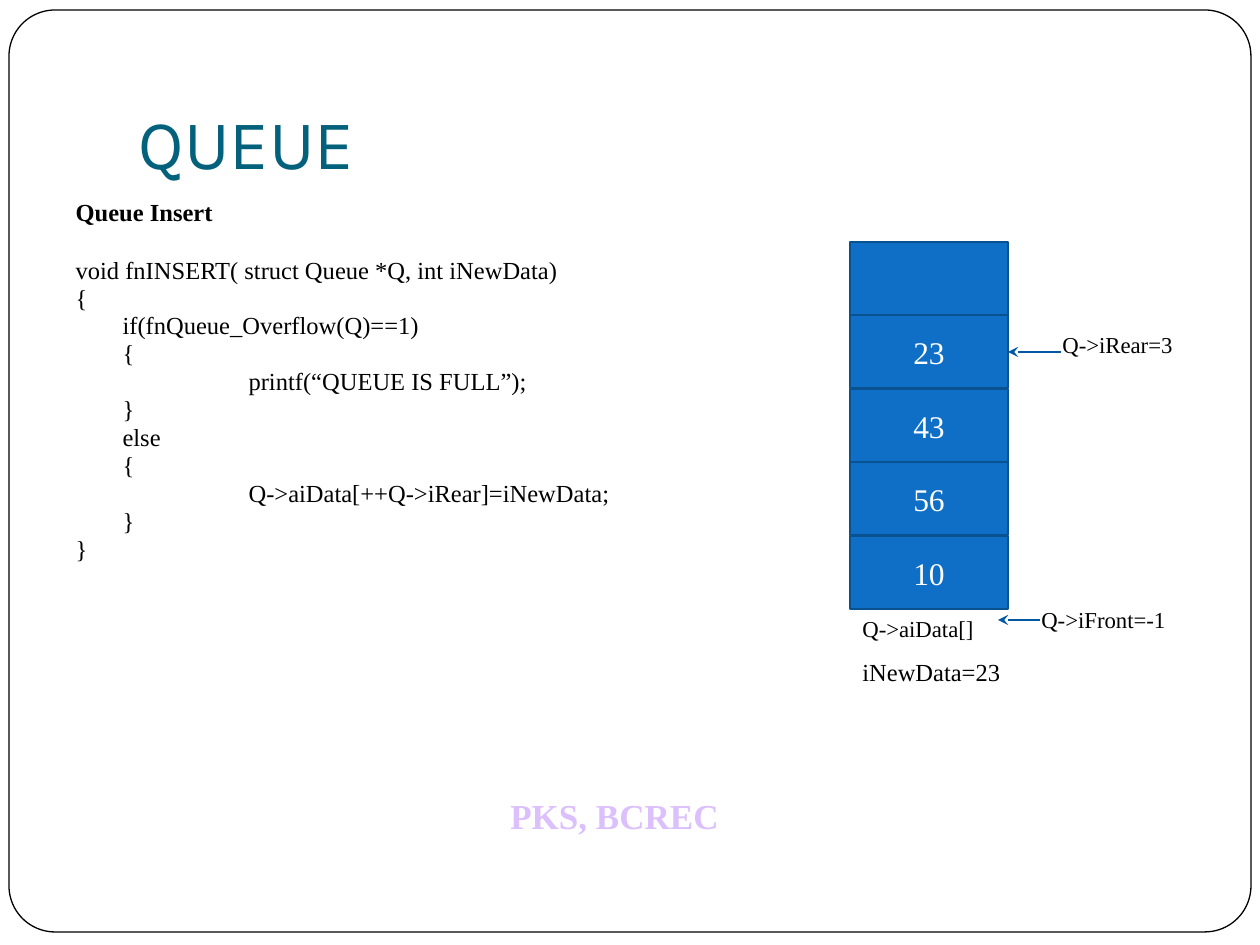
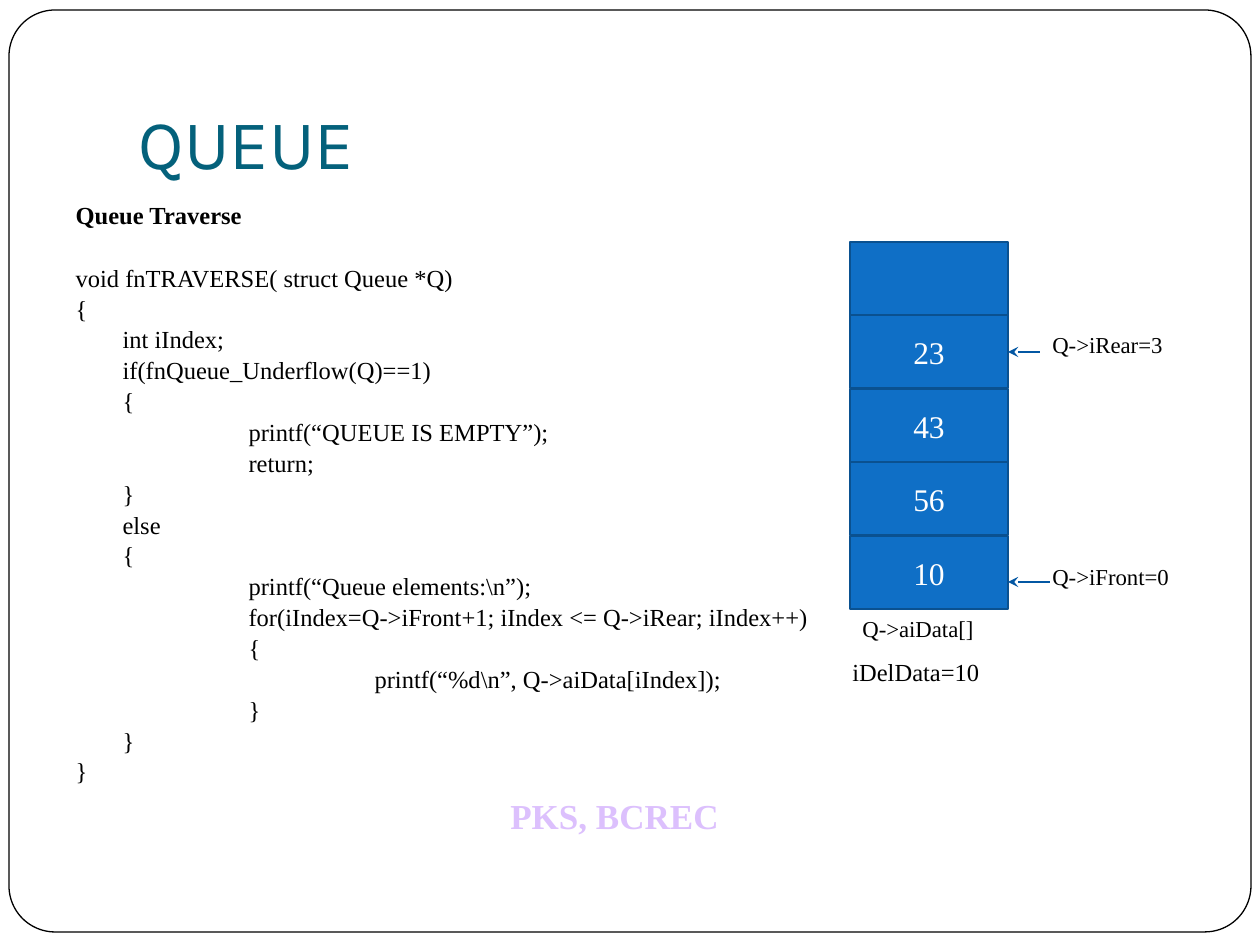
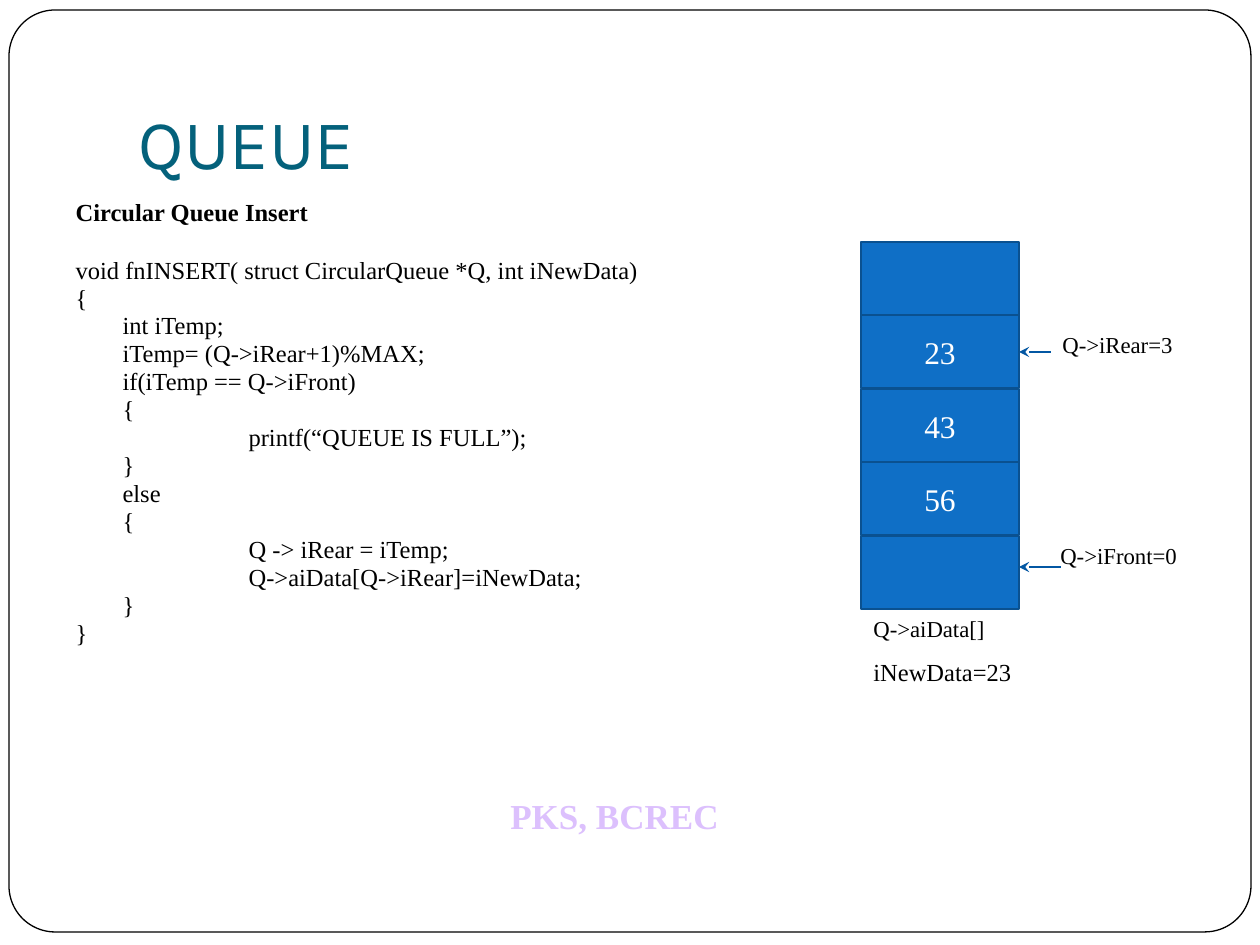
from dataclasses import dataclass

from lxml.etree import SubElement
from pptx import Presentation
from pptx.dml.color import RGBColor
from pptx.enum.shapes import MSO_CONNECTOR, MSO_SHAPE
from pptx.enum.text import MSO_ANCHOR, MSO_AUTO_SIZE, PP_ALIGN
from pptx.oxml.ns import qn
from pptx.util import Emu, Inches, Pt

PX_PER_INCH = 126
SERIF = "Times New Roman"
TITLE_FONT = "Karla"
BLACK = "000000"
WHITE = "FFFFFF"
TITLE_COLOR = "04617B"
FOOTER_COLOR = "DCC0FD"
CELL_FILL = "0F6FC6"
CELL_LINE = "0A5190"
ARROW_COLOR = "0357A3"

FRAME_BOX = (9, 10, 1242, 922)
TITLE_BOX = (126, 38, 1071, 158)
FOOTER_BOX = (498, 788, 290, 55)
COLUMN_TOP, COLUMN_WIDTH, COLUMN_HEIGHT = 242, 158, 367
FIRST_INDENT, NEXT_INDENT = 47, 126


@dataclass
class Pointer:
    text: str
    label: tuple
    tip: tuple
    length: int


@dataclass
class QueueSlide:
    heading: str
    code: list
    line_spacing: float
    code_box: tuple
    column_left: int
    cells: list
    data_text: str
    data_offset: int
    pointers: list


QUEUE_SLIDES = [
    QueueSlide(
        "Queue Insert",
        [
            (0, "void fnINSERT( struct Queue *Q, int iNewData)"),
            (0, "{"),
            (1, "if(fnQueue_Overflow(Q)==1)"),
            (1, "{"),
            (2, "printf(“QUEUE IS FULL”);"),
            (1, "}"),
            (1, "else"),
            (1, "{"),
            (2, "Q->aiData[++Q->iRear]=iNewData;"),
            (1, "}"),
            (0, "}"),
        ],
        0.7, (63, 199, 1113, 630), 850, ["", "23", "43", "56", "10"],
        "iNewData=23", 0,
        [
            Pointer("Q->iRear=3", (200, 83), (158, 110), 53),
            Pointer("Q->iFront=-1", (179, 358), (148, 378), 42),
        ],
    ),
    QueueSlide(
        "Queue Traverse",
        [
            (0, "void fnTRAVERSE( struct Queue *Q)"),
            (0, "{"),
            (1, "int iIndex;"),
            (1, "if(fnQueue_Underflow(Q)==1)"),
            (1, "{"),
            (2, "printf(“QUEUE IS EMPTY”);"),
            (2, "return;"),
            (1, "}"),
            (1, "else"),
            (1, "{"),
            (2, r"printf(“Queue elements:\n”);"),
            (2, "for(iIndex=Q->iFront+1; iIndex <= Q->iRear; iIndex++)"),
            (2, "{"),
            (3, r"printf(“%d\n”, Q->aiData[iIndex]);"),
            (2, "}"),
            (1, "}"),
            (0, "}"),
        ],
        0.8, (63, 199, 1113, 630), 850, ["", "23", "43", "56", "10"],
        "iDelData=10", -10,
        [
            Pointer("Q->iRear=3", (190, 83), (158, 110), 32),
            Pointer("Q->iFront=0", (190, 315), (158, 340), 42),
        ],
    ),
    QueueSlide(
        "Circular Queue Insert",
        [
            (0, "void fnINSERT( struct CircularQueue *Q, int iNewData)"),
            (0, "{"),
            (1, "int iTemp;"),
            (1, "iTemp= (Q->iRear+1)%MAX;"),
            (1, "if(iTemp == Q->iFront)"),
            (1, "{"),
            (2, "printf(“QUEUE IS FULL”);"),
            (1, "}"),
            (1, "else"),
            (1, "{"),
            (2, "Q -> iRear = iTemp;"),
            (2, "Q->aiData[Q->iRear]=iNewData;"),
            (1, "}"),
            (0, "}"),
        ],
        0.7, (63, 199, 798, 746), 861, ["", "23", "43", "56", ""],
        "iNewData=23", 0,
        [
            Pointer("Q->iRear=3", (189, 83), (158, 110), 32),
            Pointer("Q->iFront=0", (187, 294), (158, 325), 42),
        ],
    ),
]


def px(length):
    return Emu(round(length * 914400 / PX_PER_INCH))


def color(value):
    return RGBColor.from_string(value)


def place(shape, box):
    shape.left, shape.top, shape.width, shape.height = map(px, box)


def style_font(paragraph, size, value, name=SERIF, bold=False):
    font = paragraph.font
    font.name, font.size, font.bold = name, Pt(size), bold
    font.color.rgb = color(value)


def add_box(slide, kind, box, fill, line, line_width):
    shape = slide.shapes.add_shape(kind, *map(px, box))
    shape.shadow.inherit = False
    shape.fill.solid()
    shape.fill.fore_color.rgb = color(fill)
    shape.line.color.rgb = color(line)
    shape.line.width = Pt(line_width)
    return shape


def add_label(slide, text, box, size, value=BLACK, bold=False):
    label = slide.shapes.add_textbox(*map(px, box))
    label.text_frame.word_wrap = True
    paragraph = label.text_frame.paragraphs[0]
    paragraph.text = text
    style_font(paragraph, size, value, bold=bold)


def add_arrow(slide, start, end):
    arrow = slide.shapes.add_connector(MSO_CONNECTOR.STRAIGHT, *map(px, start + end))
    arrow.line.color.rgb = color(ARROW_COLOR)
    arrow.line.width = Pt(0.75)
    SubElement(arrow.line._get_or_add_ln(), qn("a:tailEnd"), type="stealth")
    SubElement(arrow._element.spPr, qn("a:effectLst"))


def add_frame_and_footer(slide):
    frame = add_box(slide, MSO_SHAPE.ROUNDED_RECTANGLE, FRAME_BOX, WHITE, BLACK, 0.75)
    frame.adjustments[0] = 0.05
    slide.shapes._spTree.insert(2, frame._element)
    add_label(slide, "PKS, BCREC", FOOTER_BOX, 20, FOOTER_COLOR, bold=True)


def fill_title(title):
    place(title, TITLE_BOX)
    text_frame = title.text_frame
    text_frame.text = "QUEUE"
    text_frame.auto_size = MSO_AUTO_SIZE.NONE
    text_frame.vertical_anchor = MSO_ANCHOR.BOTTOM
    text_frame.margin_bottom = Inches(0.1)
    paragraph = text_frame.paragraphs[0]
    paragraph.alignment = PP_ALIGN.LEFT
    style_font(paragraph, 40, TITLE_COLOR, TITLE_FONT)


def fill_code(body, content):
    place(body, content.code_box)
    text_frame = body.text_frame
    text_frame.auto_size = MSO_AUTO_SIZE.NONE
    lines = [(0, content.heading)] + content.code
    text_frame.text = "\n".join(text for _, text in lines)
    heading_gap = 16 * content.line_spacing + 9.8
    for index, (depth, _) in enumerate(lines):
        paragraph = text_frame.paragraphs[index]
        style_font(paragraph, 14, BLACK, bold=index == 0)
        paragraph.line_spacing = content.line_spacing
        paragraph.space_before = Pt({0: 0, 1: heading_gap}.get(index, 4.2))
        indent = FIRST_INDENT + NEXT_INDENT * (depth - 1) if depth else 0
        properties = paragraph._p.get_or_add_pPr()
        properties.set("marL", str(px(indent)))
        properties.set("indent", "0")
        properties.insert_element_before(
            properties.makeelement(qn("a:buNone")), "a:tabLst", "a:defRPr", "a:extLst"
        )


def add_queue(slide, content):
    left, top = content.column_left, COLUMN_TOP
    cell_height = COLUMN_HEIGHT / len(content.cells)
    for index, value in enumerate(content.cells):
        box = (left, top + round(index * cell_height), COLUMN_WIDTH, round(cell_height))
        cell = add_box(slide, MSO_SHAPE.RECTANGLE, box, CELL_FILL, CELL_LINE, 1)
        if value:
            cell.text_frame.text = value
            cell.text_frame.vertical_anchor = MSO_ANCHOR.MIDDLE
            paragraph = cell.text_frame.paragraphs[0]
            paragraph.alignment = PP_ALIGN.CENTER
            style_font(paragraph, 18, WHITE)
    add_label(slide, "Q->aiData[]", (left, top + COLUMN_HEIGHT, 175, 50), 13)
    data_box = (left + content.data_offset, top + COLUMN_HEIGHT + 42, 200, 50)
    add_label(slide, content.data_text, data_box, 14)
    for pointer in content.pointers:
        label_x, label_y = pointer.label
        tip_x, tip_y = left + pointer.tip[0], top + pointer.tip[1]
        add_label(slide, pointer.text, (left + label_x, top + label_y, 190, 50), 13)
        add_arrow(slide, (tip_x + pointer.length, tip_y), (tip_x, tip_y))


def add_queue_slide(presentation, content):
    slide = presentation.slides.add_slide(presentation.slide_layouts[1])
    add_frame_and_footer(slide)
    fill_title(slide.shapes.title)
    fill_code(slide.placeholders[1], content)
    add_queue(slide, content)


def main():
    presentation = Presentation()
    presentation.slide_width = Inches(10)
    presentation.slide_height = Inches(7.5)
    for content in QUEUE_SLIDES:
        add_queue_slide(presentation, content)
    presentation.save("out.pptx")


if __name__ == "__main__":
    main()
